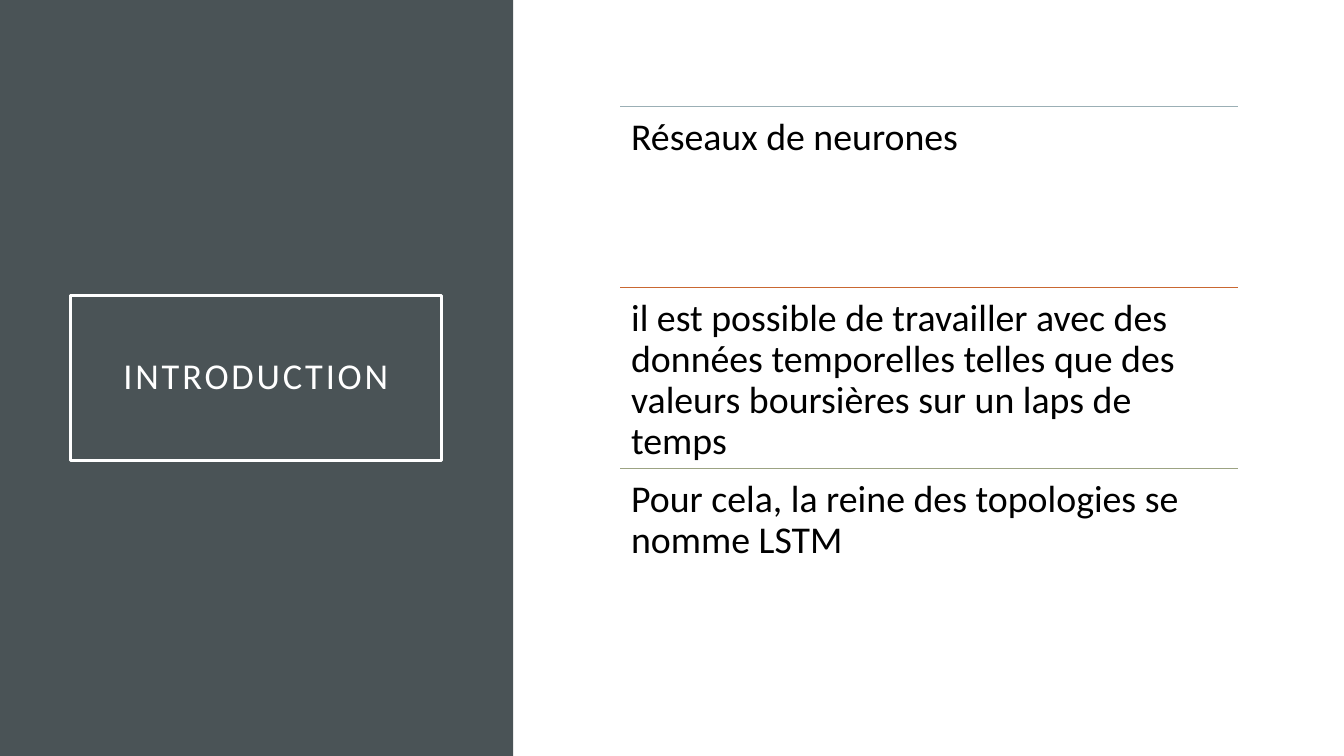
"""Build the introduction slide: a dark title panel beside three ruled text rows."""
from lxml.etree import SubElement
from pptx import Presentation
from pptx.dml.color import RGBColor
from pptx.enum.shapes import MSO_CONNECTOR, MSO_SHAPE
from pptx.enum.text import MSO_ANCHOR, MSO_AUTO_SIZE, PP_ALIGN
from pptx.oxml.ns import qn
from pptx.util import Inches, Pt


def tint(code):
    return RGBColor.from_string(code)


def write(shape, text, inset, size, color, align, anchor):
    frame = shape.text_frame
    frame.text = text
    form = {"word_wrap": True, "auto_size": MSO_AUTO_SIZE.NONE, "vertical_anchor": anchor}
    for side in ("left", "right", "top", "bottom"):
        form[f"margin_{side}"] = Inches(inset)
    for name, value in form.items():
        setattr(frame, name, value)
    para = frame.paragraphs[0]
    para.alignment = align
    para.line_spacing = 0.9
    font = para.runs[0].font
    for name, value in {"name": "Calibri", "size": Pt(size), "bold": False}.items():
        setattr(font, name, value)
    font.color.rgb = tint(color)
    return font


deck = Presentation()
deck.slide_width, deck.slide_height = Inches(13.33), Inches(7.5)
slide = deck.slides.add_slide(deck.slide_layouts[5])
shapes = slide.shapes
title = shapes.title

panel = shapes.add_shape(MSO_SHAPE.RECTANGLE, 0, 0, Inches(5.09), deck.slide_height)
panel.shadow.inherit = False
panel.fill.solid()
panel.fill.fore_color.rgb = tint("4A5356")
panel.line.fill.background()
title._element.addprevious(panel._element)

place = {"left": 0.7, "top": 2.93, "width": 3.68, "height": 1.64}
for name, value in place.items():
    setattr(title, name, Inches(value))
title.line.color.rgb = tint("FFFFFF")
title.line.width = Pt(2.5)
font = write(title, "INTRODUCTION", 0.2, 26, "FFFFFF", PP_ALIGN.CENTER, MSO_ANCHOR.MIDDLE)
font._element.set("spc", "200")

rows = [
    ("9BAFB5", "Réseaux de neurones"),
    ("C96731", "il est possible de travailler avec des données temporelles "
               "telles que des valeurs boursières sur un laps de temps"),
    ("9CA383", "Pour cela, la reine des topologies se nomme LSTM"),
]
left, wide, first, step = Inches(6.15), Inches(6.13), Inches(1.06), Inches(1.795)
for row, (color, text) in enumerate(rows):
    top = first + row * step
    rule = shapes.add_connector(MSO_CONNECTOR.STRAIGHT, left, top, left + wide, top)
    rule.line.color.rgb = tint(color)
    rule.line.width = Pt(0.5)
    SubElement(rule._element.spPr, qn("a:effectLst"))
    box = shapes.add_textbox(left, top, wide, step)
    write(box, text, 0.11, 27, "000000", PP_ALIGN.LEFT, MSO_ANCHOR.TOP)

deck.save("out.pptx")
